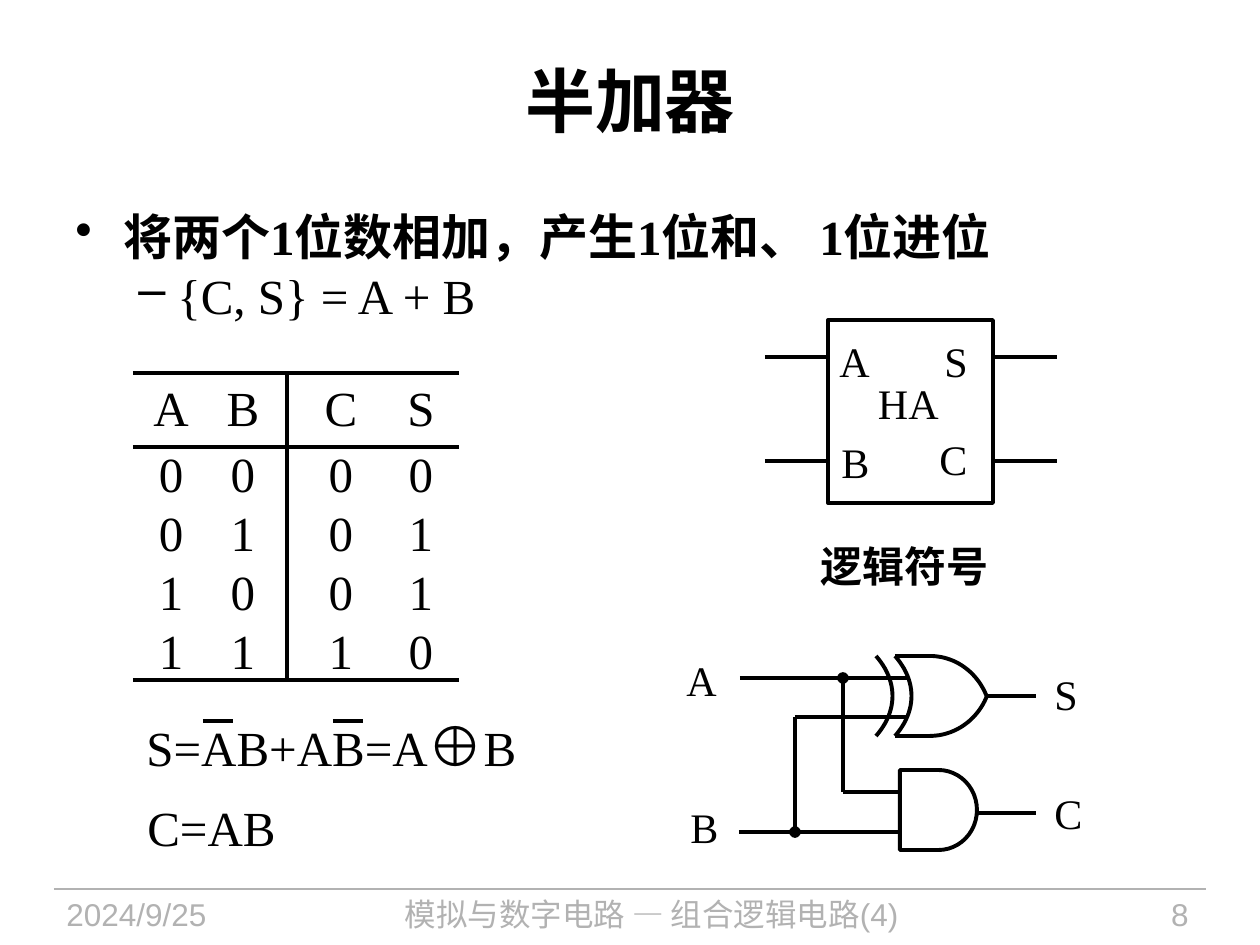
from lxml import etree
from pptx import Presentation
from pptx.dml.color import RGBColor
from pptx.enum.shapes import MSO_CONNECTOR, MSO_SHAPE
from pptx.enum.text import MSO_ANCHOR, MSO_AUTO_SIZE, PP_ALIGN
from pptx.oxml.ns import qn
from pptx.util import Emu, Pt

LEFT, MID, RIGHT = PP_ALIGN.LEFT, PP_ALIGN.CENTER, PP_ALIGN.RIGHT
CENTER = MSO_ANCHOR.MIDDLE
GROW = MSO_AUTO_SIZE.SHAPE_TO_FIT_TEXT
LINE = MSO_CONNECTOR.STRAIGHT
RECT, DELAY = MSO_SHAPE.RECTANGLE, MSO_SHAPE.FLOWCHART_DELAY
COLORS = {"ink": "000000", "gray": "B2B2B2", "white": "FFFFFF"}
SCALE = 914400 / 126


def px(n):
    return Emu(round(n * SCALE))


def color(name):
    return RGBColor.from_string(COLORS[name])


class Board:
    serif, sans = "Times New Roman", "Arial"
    stroke = 2.25

    def __init__(self, slide):
        self.slide = slide
        self.shapes = slide.shapes

    def font(self, para, size, face=serif, bold=False, tone="ink"):
        font = para.font
        font.size, font.name, font.bold = Pt(size), face, bold
        font.color.rgb = color(tone)

    def title(self, text, *box):
        head = self.shapes.title
        head.left, head.top, head.width, head.height = map(px, box)
        frame = head.text_frame
        frame.text = text
        frame.vertical_anchor = CENTER
        para = frame.paragraphs[0]
        para.alignment = MID
        self.font(para, 40, self.sans, True)

    def text(self, text, *box, size=28, align=LEFT, wrap=False, **style):
        frame = self.shapes.add_textbox(*map(px, box)).text_frame
        frame.word_wrap = wrap
        if not wrap:
            frame.auto_size = GROW
        para = frame.paragraphs[0]
        para.text = text
        para.alignment = align
        self.font(para, size, **style)
        return frame

    def bullets(self, items, *box):
        frame = self.shapes.add_textbox(*map(px, box)).text_frame
        frame.word_wrap = True
        for i, (mark, text, level, margin, hang, bold) in enumerate(items):
            para = frame.add_paragraph() if i else frame.paragraphs[0]
            para.text = text
            para.level = level
            props = para._p.get_or_add_pPr()
            props.set("marL", str(px(margin)))
            props.set("indent", str(-px(hang)))
            dot = etree.SubElement(props, qn("a:buChar"))
            dot.set("char", mark)
            self.font(para, 28, bold=bold)

    def line(self, x1, y1, x2, y2, tone="ink", width=stroke, end=None):
        wire = self.shapes.add_connector(LINE, px(x1), px(y1), px(x2), px(y2))
        wire.line.color.rgb = color(tone)
        wire.line.width = Pt(width)
        if end:
            tip = etree.SubElement(wire.line._get_or_add_ln(), qn(f"a:{end}"))
            tip.set("type", "oval")
        etree.SubElement(wire._element.spPr, qn("a:effectLst"))

    def outline(self, shape, fill=None):
        shape.shadow.inherit = False
        if fill:
            shape.fill.solid()
            shape.fill.fore_color.rgb = color(fill)
        else:
            shape.fill.background()
        shape.line.color.rgb = color("ink")
        shape.line.width = Pt(self.stroke)

    def block(self, kind, *box, fill=None):
        self.outline(self.shapes.add_shape(kind, *map(px, box)), fill)

    def curve(self, a, b, c, d, steps=24):
        dots = []
        for i in range(steps + 1):
            t = i / steps
            u = 1 - t
            dots.append(tuple(
                px(u**3 * p + 3 * u * u * t * q + 3 * u * t * t * r + t**3 * s)
                for p, q, r, s in zip(a, b, c, d)))
        pen = self.shapes.build_freeform(*dots[0])
        pen.add_line_segments(dots[1:], close=False)
        self.outline(pen.convert_to_shape())

    def table(self, rows, x, y, widths, heights):
        frame = self.shapes.add_table(len(rows), len(widths), px(x), px(y),
                                      px(sum(widths)), px(sum(heights)))
        grid = frame.table
        grid.first_row = grid.horz_banding = False
        for col, width in zip(grid.columns, widths):
            col.width = px(width)
        for row, height, words in zip(grid.rows, heights, rows):
            row.height = px(height)
            for cell, word in zip(row.cells, words):
                cell.fill.background()
                cell.margin_left = cell.margin_right = 0
                cell.margin_top = cell.margin_bottom = 0
                cell.vertical_anchor = CENTER
                para = cell.text_frame.paragraphs[0]
                para.text = word
                para.alignment = MID
                self.font(para, 28)


def footer(board):
    board.line(54, 889, 1206, 889, "gray", 0.75)
    for text, x, w, align in (
            ("2024/9/25", 54, 237, LEFT),
            ("模拟与数字电路 — 组合逻辑电路(4)", 314, 675, MID),
            ("8", 1033, 168, RIGHT)):
        board.text(text, x, 889, w, 55, size=18, align=align, wrap=True,
                   face=board.sans, tone="gray")


def truth(board):
    board.table(["ABCS", "0000", "0101", "1001", "1110"],
                143, 373, [56, 88, 108, 52], [74] + [58] * 4)
    for y in (373, 447, 680):
        board.line(133, y, 459, y)
    board.line(287, 373, 287, 680)


def formulas(board):
    board.text("C=AB", 135, 791, 155, 72)
    frame = board.text("S=AB+AB=A", 134, 704, 396, 79)
    para = frame.paragraphs[0]
    plus = para.add_run()
    plus.text = "⊕"
    plus.font.size = Pt(32)
    para.add_run().text = "B"
    for x in (203, 333):
        board.line(x, 721, x + 30, 721)


def symbol(board):
    board.block(RECT, 828, 320, 165, 183)
    for x in (765, 994):
        for y in (357, 461):
            board.line(x, y, x + 63, y)
    for text, x, y, w in (("A", 827, 329, 55), ("B", 829, 430, 53),
                          ("S", 932, 329, 49), ("C", 927, 427, 54)):
        board.text(text, x, y, w, 63, size=24)
    core = board.text("HA", 878, 378, 63, 50, size=24)
    core.margin_left = core.margin_right = 0
    core.margin_top = core.margin_bottom = 0
    core.vertical_anchor = CENTER
    board.text("逻辑符号", 808, 534, 194, 63, size=24, align=MID, bold=True)


def circuit(board):
    for text, x, y, w in (("A", 674, 648, 57), ("B", 678, 795, 54),
                          ("S", 1042, 662, 49), ("C", 1042, 781, 54)):
        board.text(text, x, y, w, 64, size=24)
    board.line(843, 678, 843, 792, end="headEnd")
    board.line(795, 717, 795, 832, end="tailEnd")
    for x1, y, x2 in ((843, 792, 902), (740, 678, 907), (739, 832, 902),
                      (795, 717, 907), (988, 696, 1036), (961, 813, 1036),
                      (895, 656, 932), (895, 736, 932)):
        board.line(x1, y, x2, y)
    board.curve((930, 656), (954, 656), (977, 671), (987, 697))
    board.curve((930, 736), (954, 736), (977, 721), (987, 696))
    for x in (876, 895):
        board.curve((x, 656), (x + 22, 681), (x + 22, 711), (x, 736))
    board.block(DELAY, 900, 770, 77, 80, fill="white")


def main():
    deck = Presentation()
    deck.slide_width, deck.slide_height = px(1260), px(945)
    board = Board(deck.slides.add_slide(deck.slide_layouts[5]))
    footer(board)
    board.title("半加器", 63, 21, 1134, 158)
    board.bullets([("•", "将两个1位数相加，产生1位和、 1位进位", 0, 48, 48, True),
                   ("–", "{C, S} = A + B", 1, 102, 39, False)],
                  63, 200, 1134, 183)
    truth(board)
    formulas(board)
    symbol(board)
    circuit(board)
    deck.save("out.pptx")


if __name__ == "__main__":
    main()
